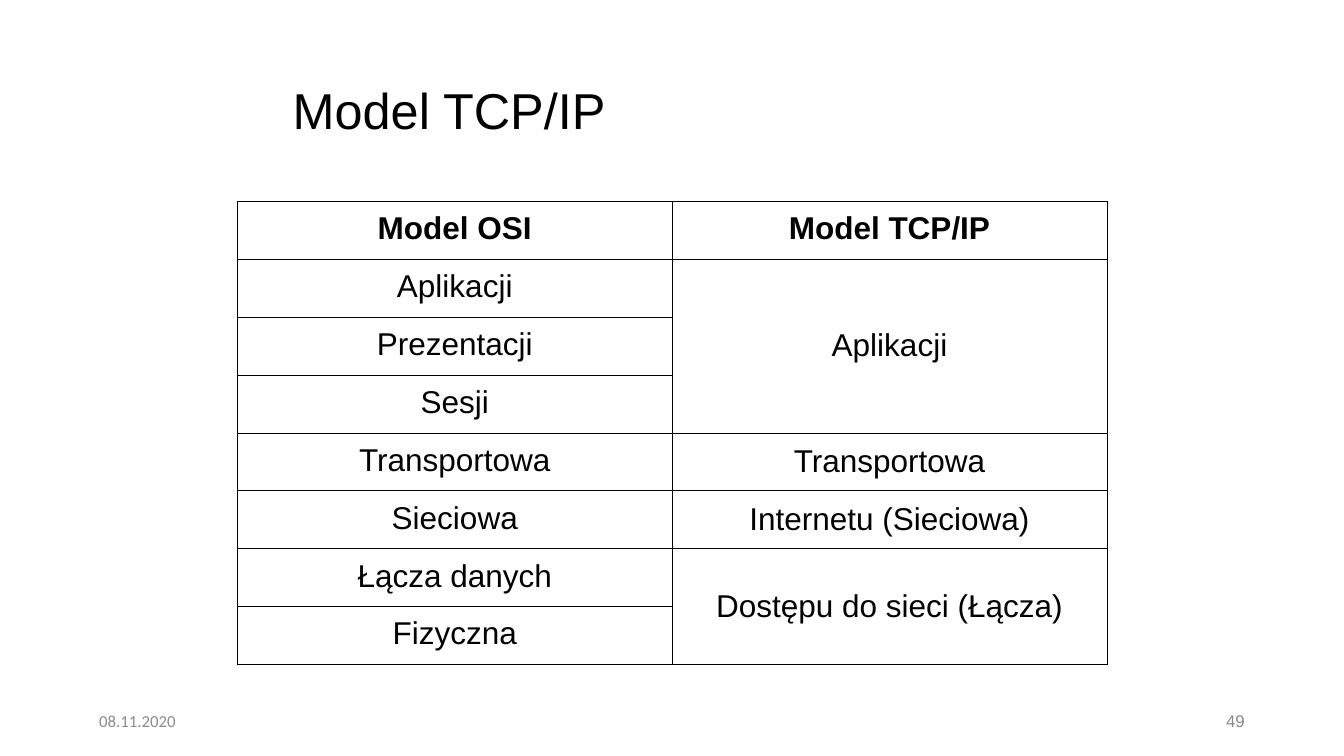
from dataclasses import dataclass

from lxml.etree import SubElement
from pptx import Presentation
from pptx.dml.color import RGBColor
from pptx.enum.text import MSO_ANCHOR as Anchor, PP_ALIGN as Align
from pptx.oxml.ns import qn
from pptx.util import Pt

BLACK = "000000"
BORDER_SIDES = ("lnL", "lnR", "lnT", "lnB")
ROW_HEIGHT = 58.86
COLUMN_WIDTH = 441.6


@dataclass
class Label:
    text: str
    left: float
    top: float
    width: float
    height: float
    size: float
    font: str
    color: str
    align: Align = Align.LEFT
    indent: float = 0
    line_spacing: float = 1.0


@dataclass
class Layer:
    """A layer of the TCP/IP model and the OSI layers it covers."""
    name: str
    osi_layers: tuple[str, ...]


LABELS = [
    Label("Model TCP/IP", 264.24, 83.5, 1100, 63.4, 51.2, "Arial", BLACK,
          indent=26, line_spacing=0.9),
    Label("08.11.2020", 93.6, 712, 307.4, 41, 17.1, "Calibri", "8C8C8C"),
    Label("49", 964, 712, 307.4, 41, 17.1, "Arial", "898989", Align.RIGHT),
]

LAYERS = [
    Layer("Aplikacji", ("Aplikacji", "Prezentacji", "Sesji")),
    Layer("Transportowa", ("Transportowa",)),
    Layer("Internetu (Sieciowa)", ("Sieciowa",)),
    Layer("Dostępu do sieci (Łącza)", ("Łącza danych", "Fizyczna")),
]


def rgb(value: str) -> RGBColor:
    return RGBColor.from_string(value)


def style_font(para, name: str, size: float, color: str, bold: bool = False) -> None:
    para.font.name = name
    para.font.size = Pt(size)
    para.font.bold = bold
    para.font.color.rgb = rgb(color)


def add_label(page, label: Label) -> None:
    box = page.shapes.add_textbox(Pt(label.left), Pt(label.top),
                                  Pt(label.width), Pt(label.height))
    frame = box.text_frame
    frame.word_wrap = True
    frame.vertical_anchor = Anchor.MIDDLE
    para = frame.paragraphs[0]
    para.text = label.text
    para.alignment = label.align
    para.line_spacing = label.line_spacing
    if label.indent:
        para._p.get_or_add_pPr().set("indent", str(Pt(label.indent)))
    style_font(para, label.font, label.size, label.color)


def style_cell(cell) -> None:
    """Give a cell its margins, thin black borders and no fill."""
    cell.margin_left = cell.margin_right = Pt(10.8)
    cell.margin_top = cell.margin_bottom = Pt(10)
    properties = cell._tc.get_or_add_tcPr()
    for side in BORDER_SIDES:
        line = SubElement(properties, qn(f"a:{side}"), w=str(Pt(0.75)))
        fill = SubElement(line, qn("a:solidFill"))
        SubElement(fill, qn("a:srgbClr"), val=BLACK)
    cell.fill.background()


def write_cell(cell, text: str, bold: bool = False, anchor: Anchor = Anchor.TOP) -> None:
    cell.vertical_anchor = anchor
    para = cell.text_frame.paragraphs[0]
    para.text = text
    para.alignment = Align.CENTER
    style_font(para, "Arial", 32, BLACK, bold)


def add_layer_table(page, layers: list[Layer]) -> None:
    row_count = 1 + sum(len(layer.osi_layers) for layer in layers)
    table = page.shapes.add_table(row_count, 2, Pt(241.2), Pt(204.5),
                                  Pt(2 * COLUMN_WIDTH), Pt(row_count * ROW_HEIGHT)).table
    table.first_row = table.horz_banding = False
    for column in table.columns:
        column.width = Pt(COLUMN_WIDTH)
    for row in table.rows:
        row.height = Pt(ROW_HEIGHT)
    for cell in table.iter_cells():
        style_cell(cell)

    # Header
    for column, heading in enumerate(("Model OSI", "Model TCP/IP")):
        write_cell(table.cell(0, column), heading, bold=True)

    # Layers, each merged over the rows it covers
    first = 1
    for layer in layers:
        for offset, osi_layer in enumerate(layer.osi_layers):
            write_cell(table.cell(first + offset, 0), osi_layer)
        last = first + len(layer.osi_layers) - 1
        top_cell = table.cell(first, 1)
        if last > first:
            top_cell.merge(table.cell(last, 1))
        write_cell(top_cell, layer.name, anchor=Anchor.MIDDLE)
        first = last + 1


def main() -> None:
    deck = Presentation()
    deck.slide_width, deck.slide_height = Pt(1365.12), Pt(768.24)
    page = deck.slides.add_slide(deck.slide_layouts[6])
    page.background.fill.solid()
    page.background.fill.fore_color.rgb = rgb("FFFFFF")

    # Title, table, then date and page number
    title, *footers = LABELS
    add_label(page, title)
    add_layer_table(page, LAYERS)
    for footer in footers:
        add_label(page, footer)
    deck.save("out.pptx")


if __name__ == "__main__":
    main()
